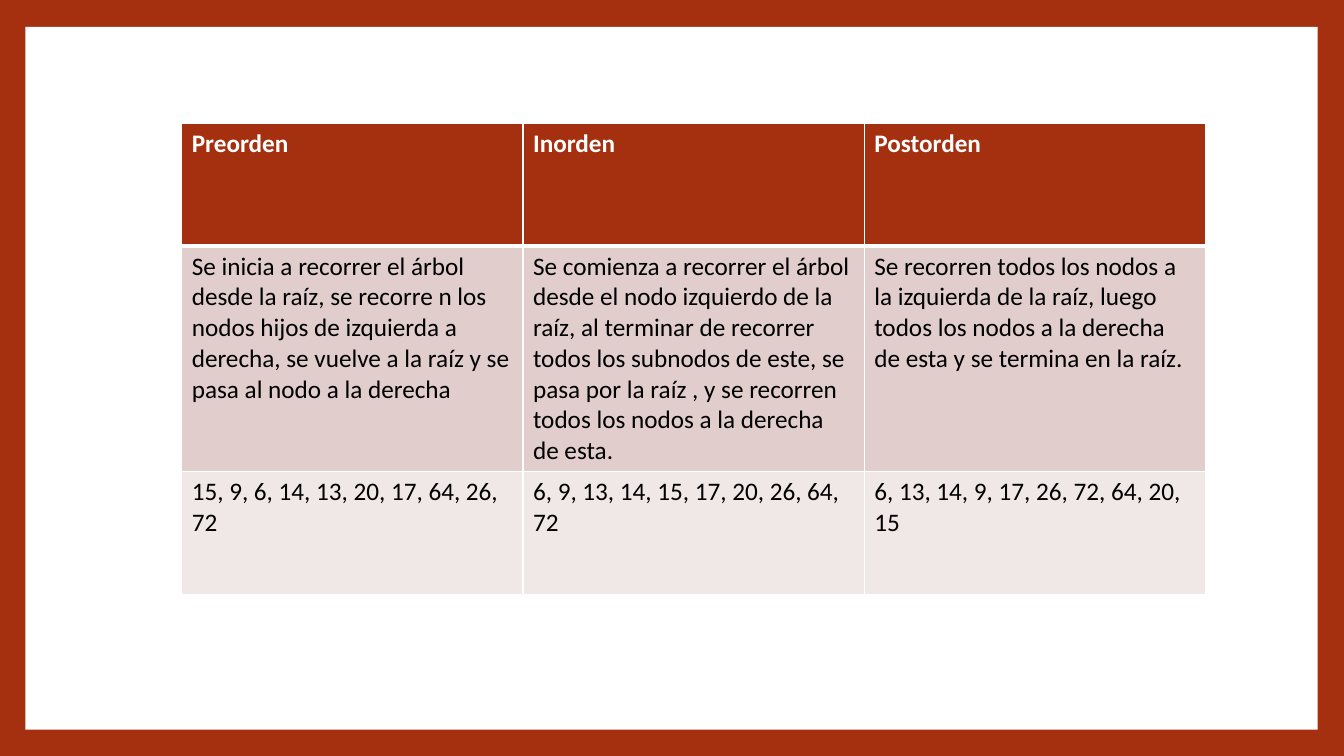
from dataclasses import dataclass

from lxml import etree
from pptx import Presentation
from pptx.dml.color import RGBColor
from pptx.enum.shapes import MSO_SHAPE
from pptx.oxml.ns import qn
from pptx.util import Cm, Pt

RECTANGLE = MSO_SHAPE.RECTANGLE
BLANK_LAYOUT = 6


@dataclass(frozen=True)
class Theme:
    """Colours, font and sizes of the slide."""
    frame: str = "A5300F"
    paper: str = "FFFFFF"
    ink: str = "000000"
    bands: tuple = ("E1CDCC", "F0E8E7")
    font: str = "Calibri"
    text_size: int = 18
    thin_line: int = 1
    thick_line: int = 3


class SlideBuilder:
    """Draws styled elements on the current slide."""

    def __init__(self, page, theme):
        self.page = page
        self.theme = theme

    def background(self):
        fill = self.page.background.fill
        fill.solid()
        fill.fore_color.rgb = RGBColor.from_string(self.theme.frame)

    def panel(self, left, top, width, height):
        panel = self.page.shapes.add_shape(
            RECTANGLE, Cm(left), Cm(top), Cm(width), Cm(height))
        panel.shadow.inherit = False
        panel.fill.solid()
        panel.fill.fore_color.rgb = RGBColor.from_string(self.theme.paper)
        panel.line.fill.background()

    def border(self, cell, side, weight):
        properties = cell._tc.get_or_add_tcPr()
        line = etree.SubElement(properties, qn(f"a:ln{side}"), w=str(Pt(weight)))
        fill = etree.SubElement(line, qn("a:solidFill"))
        etree.SubElement(fill, qn("a:srgbClr"), val=self.theme.paper)

    def cell(self, cell, text, row):
        theme = self.theme
        header = row == 0
        heavy_sides = {0: "B", 1: "T"}
        for side in "LRTB":
            heavy = heavy_sides.get(row) == side
            self.border(cell, side, theme.thick_line if heavy else theme.thin_line)
        cell.fill.solid()
        colour = theme.frame if header else theme.bands[(row - 1) % 2]
        cell.fill.fore_color.rgb = RGBColor.from_string(colour)
        span = cell.text_frame.paragraphs[0].add_run()
        span.text = text
        span.font.name = theme.font
        span.font.size = Pt(theme.text_size)
        span.font.bold = header
        span.font.color.rgb = RGBColor.from_string(
            theme.paper if header else theme.ink)

    def table(self, rows, left, top, width, height, row_height):
        frame = self.page.shapes.add_table(
            len(rows), len(rows[0]), Cm(left), Cm(top), Cm(width), Cm(height))
        for row, texts in enumerate(rows):
            frame.table.rows[row].height = Cm(row_height)
            for column, text in enumerate(texts):
                self.cell(frame.table.cell(row, column), text, row)
        frame.height = Cm(height)


TRAVERSALS = [
    ("Preorden", "Inorden", "Postorden"),
    (
        "Se inicia a recorrer el árbol desde la raíz, se recorre n los nodos "
        "hijos de izquierda a derecha, se vuelve a la raíz y se pasa al nodo "
        "a la derecha",
        "Se comienza a recorrer el árbol desde el nodo izquierdo de la raíz, "
        "al terminar de recorrer todos los subnodos de este, se pasa por la "
        "raíz , y se recorren todos los nodos a la derecha de esta.",
        "Se recorren todos los nodos a la izquierda de la raíz, luego todos "
        "los nodos a la derecha de esta y se termina en la raíz.",
    ),
    (
        "15, 9, 6, 14, 13, 20, 17, 64, 26, 72",
        "6, 9, 13, 14, 15, 17, 20, 26, 64, 72",
        "6, 13, 14, 9, 17, 26, 72, 64, 20, 15",
    ),
]


def main():
    deck = Presentation()
    deck.slide_width, deck.slide_height = Cm(33.87), Cm(19.05)
    page = deck.slides.add_slide(deck.slide_layouts[BLANK_LAYOUT])
    builder = SlideBuilder(page, Theme())
    builder.background()
    builder.panel(0.64, 0.68, 32.57, 17.71)
    builder.table(TRAVERSALS, 4.58, 3.1, 25.8, 11.76, row_height=3.1)
    deck.save("out.pptx")


if __name__ == "__main__":
    main()
